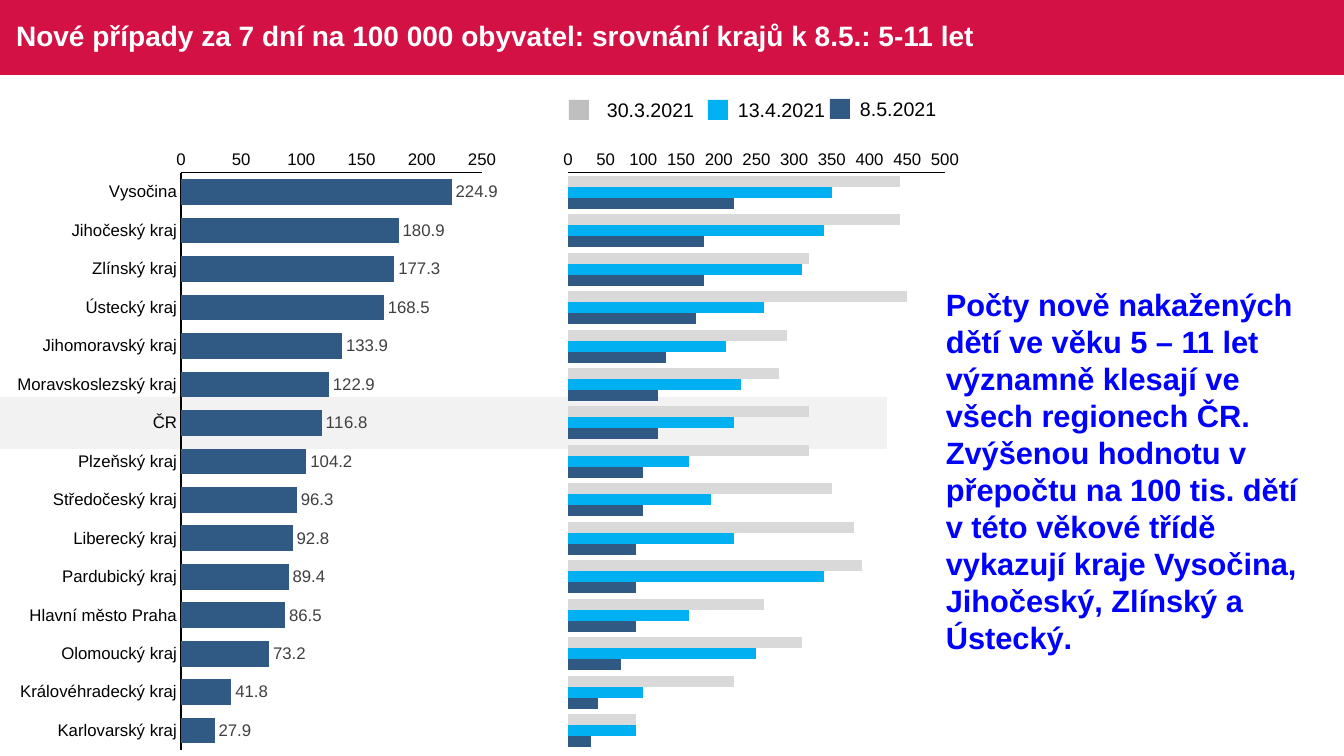
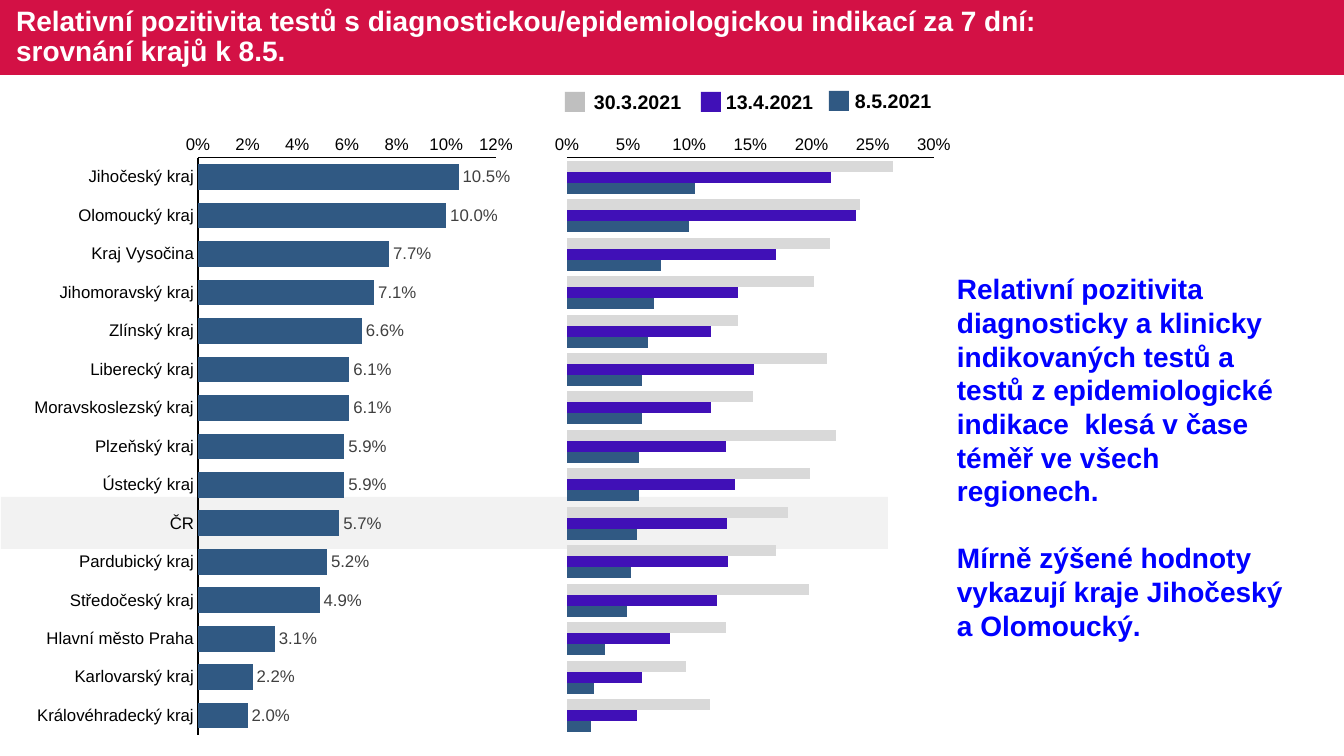
from pptx import Presentation
from pptx.chart.data import CategoryChartData
from pptx.dml.color import RGBColor
from pptx.enum.chart import XL_CHART_TYPE, XL_LABEL_POSITION, XL_TICK_MARK
from pptx.enum.shapes import MSO_SHAPE
from pptx.enum.text import MSO_ANCHOR, MSO_AUTO_SIZE, PP_ALIGN
from pptx.oxml import parse_xml
from pptx.oxml.ns import nsdecls
from pptx.util import Emu, Pt

SCALE = 914400 / 100.8
WIDE, HIGH, BAND = 1344, 756, 75
FONT = "Arial"
COLORS = {
    "red": "D31145", "white": "FFFFFF", "black": "000000", "label": "404040",
    "text": "0000FF", "row": "F2F2F2", "key": "BFBFBF", "pale": "D9D9D9",
    "sky": "00B0F0", "violet": "4010B7", "navy": "305983",
}
DATES = ["30.3.2021", "13.4.2021", "8.5.2021"]

# Data: new cases per 100 000
CASES = {
    "Vysočina": 224.9, "Jihočeský kraj": 180.9, "Zlínský kraj": 177.3,
    "Ústecký kraj": 168.5, "Jihomoravský kraj": 133.9,
    "Moravskoslezský kraj": 122.9, "ČR": 116.8, "Plzeňský kraj": 104.2,
    "Středočeský kraj": 96.3, "Liberecký kraj": 92.8,
    "Pardubický kraj": 89.4, "Hlavní město Praha": 86.5,
    "Olomoucký kraj": 73.2, "Královéhradecký kraj": 41.8,
    "Karlovarský kraj": 27.9,
}
CASES_TREND = [
    [440, 440, 320, 450, 290, 280, 320, 320, 350, 380, 390, 260, 310, 220, 90],
    [350, 340, 310, 260, 210, 230, 220, 160, 190, 220, 340, 160, 250, 100, 90],
    [round(v, -1) for v in CASES.values()],
]

# Data: share of positive tests
RATES = {
    "Jihočeský kraj": 0.105, "Olomoucký kraj": 0.1, "Kraj Vysočina": 0.077,
    "Jihomoravský kraj": 0.071, "Zlínský kraj": 0.066,
    "Liberecký kraj": 0.061, "Moravskoslezský kraj": 0.061,
    "Plzeňský kraj": 0.059, "Ústecký kraj": 0.059, "ČR": 0.057,
    "Pardubický kraj": 0.052, "Středočeský kraj": 0.049,
    "Hlavní město Praha": 0.031, "Karlovarský kraj": 0.022,
    "Královéhradecký kraj": 0.02,
}
RATES_TREND = [
    [0.267, 0.24, 0.215, 0.202, 0.14, 0.213, 0.152, 0.22,
     0.199, 0.181, 0.171, 0.198, 0.13, 0.097, 0.117],
    [0.216, 0.236, 0.171, 0.14, 0.118, 0.153, 0.118, 0.13,
     0.137, 0.131, 0.132, 0.123, 0.084, 0.061, 0.057],
    list(RATES.values()),
]


def px(*vals):
    return [Emu(round(v * SCALE)) for v in vals]


def rgb(name):
    return RGBColor.from_string(COLORS[name])


def style(font, size, color, bold=False):
    font.name, font.size, font.bold = FONT, Pt(size), bold
    font.color.rgb = rgb(color)


def rect(slide, box, color):
    shape = slide.shapes.add_shape(MSO_SHAPE.RECTANGLE, *px(*box))
    shape.shadow.inherit = False
    shape.fill.solid()
    shape.fill.fore_color.rgb = rgb(color)
    shape.line.fill.background()
    return shape


def head(deck, text, width):
    """Add a slide with its title set on the band."""
    slide = deck.slides.add_slide(deck.slide_layouts[5])
    title = slide.shapes.title
    title.left, title.top, title.width, title.height = px(6, 0, width, BAND)
    frame = title.text_frame
    frame.text = text
    frame.word_wrap = True
    frame.auto_size = MSO_AUTO_SIZE.NONE
    frame.vertical_anchor = MSO_ANCHOR.MIDDLE
    para = frame.paragraphs[0]
    para.alignment, para.line_spacing = PP_ALIGN.LEFT, 0.9
    for run in para.runs:
        style(run.font, 20, "white", True)
    return slide


def note(slide, box, paras, size, color, bold, wrap=True):
    frame = slide.shapes.add_textbox(*px(*box)).text_frame
    frame.word_wrap = wrap
    frame.auto_size = MSO_AUTO_SIZE.SHAPE_TO_FIT_TEXT
    for i, text in enumerate(paras):
        para = frame.add_paragraph() if i else frame.paragraphs[0]
        para.text = text
        if i:
            para.space_before = Pt(24)
        style(para.runs[0].font, size, color, bold)


def legend(slide, marks, colors, bold):
    """Each mark holds square left, square top and text left."""
    for (left, top, start), date, color in zip(marks, DATES, colors):
        rect(slide, (left, top, 20, 20), color)
        width = 11 * len(date) + 10
        note(slide, (start, top - 7, width, 34), [date], 14, "black", bold, False)


def place(chart, box, plot):
    """Fix the inner plot area and keep the chart see-through."""
    left, top, width, height = box
    parts = {"x": (plot[0] - left) / width, "y": (plot[1] - top) / height,
             "w": plot[2] / width, "h": plot[3] / height}
    modes = '<c:xMode val="edge"/><c:yMode val="edge"/>'
    sizes = "".join(f'<c:{k} val="{v:.4f}"/>' for k, v in parts.items())
    area = chart.element.xpath("c:chart/c:plotArea")[0]
    for old in area.xpath("c:layout"):
        area.remove(old)
    area.insert(0, parse_xml(
        f'<c:layout {nsdecls("c")}><c:manualLayout><c:layoutTarget val="inner"/>'
        f"{modes}{sizes}</c:manualLayout></c:layout>"))
    clear = (f'<c:spPr {nsdecls("c", "a")}><a:noFill/>'
             "<a:ln><a:noFill/></a:ln></c:spPr>")
    area.append(parse_xml(clear))
    area.getparent().addnext(parse_xml(clear))


def bars(slide, box, span, cats, rows, colors, peak, step, form, tag=None):
    """Bar chart; span is the plot's left and width, tag the label format."""
    data = CategoryChartData()
    data.categories = cats
    for i, vals in enumerate(rows, 1):
        data.add_series(f"Series {i}", vals)
    chart = slide.shapes.add_chart(
        XL_CHART_TYPE.BAR_CLUSTERED, *px(*box), data).chart
    chart.has_legend = chart.has_title = False
    style(chart.font, 10, "black")
    place(chart, box, (span[0], box[1] + 35, span[1], 577))

    cat, val = chart.category_axis, chart.value_axis
    cat.reverse_order = True
    cat.visible = tag is not None
    val.minimum_scale, val.maximum_scale, val.major_unit = 0, peak, step
    val.tick_labels.number_format = form
    val.tick_labels.number_format_is_linked = False
    for axis in (cat, val):
        axis.has_major_gridlines = False
        axis.major_tick_mark = axis.minor_tick_mark = XL_TICK_MARK.NONE
        style(axis.tick_labels.font, 12, "black")
        axis.format.line.color.rgb = rgb("black")
        axis.format.line.width = Pt(0.75)

    plot = chart.plots[0]
    plot.gap_width, plot.overlap, plot.vary_by_categories = 50, 0, False
    for series, color in zip(plot.series, colors):
        series.invert_if_negative = False
        series.format.fill.solid()
        series.format.fill.fore_color.rgb = rgb(color)
    if tag:
        plot.has_data_labels = True
        labels = plot.data_labels
        labels.show_value = True
        labels.number_format, labels.number_format_is_linked = tag, False
        labels.position = XL_LABEL_POSITION.OUTSIDE_END
        style(labels.font, 12, "label")


def pair(slide, top, table, trend, mid, left, right, form, tag):
    """Ranking and trend charts; each side is left, span, peak and step."""
    start, span, peak, step = right
    order = [str(i) for i in range(1, len(table) + 1)]
    bars(slide, (start, top, 412, 624), span, order, trend,
         ["pale", mid, "navy"], peak, step, form)
    start, span, peak, step = left
    bars(slide, (start, top, 498, 624), span, list(table),
         [list(table.values())], ["navy"], peak, step, form, tag)


def main():
    deck = Presentation()
    deck.slide_width, deck.slide_height = px(WIDE, HIGH)

    # New cases, with the band moved to the shared layout
    slide = head(deck, "Nové případy za 7 dní na 100 000 obyvatel: "
                 "srovnání krajů k 8.5.: 5-11 let", 1211)
    band = rect(slide, (0, 0, WIDE, BAND), "red")
    slide.slide_layout.shapes.element.insert(2, band.element)
    rect(slide, (0, 397, 887, 52), "row")
    pair(slide, 138, CASES, CASES_TREND, "sky",
         (8, (181, 301), 250, 50), (555, (568, 377), 500, 50),
         "0", "#,##0.0")
    legend(slide, [(569, 100, 597), (708, 100, 728), (830, 99, 850)],
           ["key", "sky", "navy"], False)
    note(slide, (936, 281, 394, 383), [
        "Počty nově nakažených dětí ve věku 5 – 11 let významně klesají "
        "ve všech regionech ČR. Zvýšenou hodnotu v přepočtu na 100 tis. dětí "
        "v této věkové třídě vykazují kraje Vysočina, Jihočeský, Zlínský "
        "a Ústecký."], 22, "text", True)

    # Positive tests
    slide = head(deck, "Relativní pozitivita testů s diagnostickou/"
                 "epidemiologickou indikací za 7 dní: \vsrovnání krajů k 8.5.",
                 1316)
    legend(slide, [(565, 92, 584), (701, 92, 716), (829, 91, 845)],
           ["key", "violet", "navy"], True)
    rect(slide, (1, 497, 887, 52), "row")
    pair(slide, 123, RATES, RATES_TREND, "violet",
         (25, (198, 298), 0.12, 0.02), (547, (567, 367), 0.3, 0.05),
         "0%", "0.0%")
    note(slide, (947, 267, 356, 383), [
        "Relativní pozitivita diagnosticky a klinicky indikovaných testů "
        "a testů z epidemiologické indikace  klesá v čase téměř ve všech "
        "regionech.",
        "Mírně zýšené hodnoty vykazují kraje Jihočeský a Olomoucký."],
        20, "text", True)

    deck.save("out.pptx")


if __name__ == "__main__":
    main()
